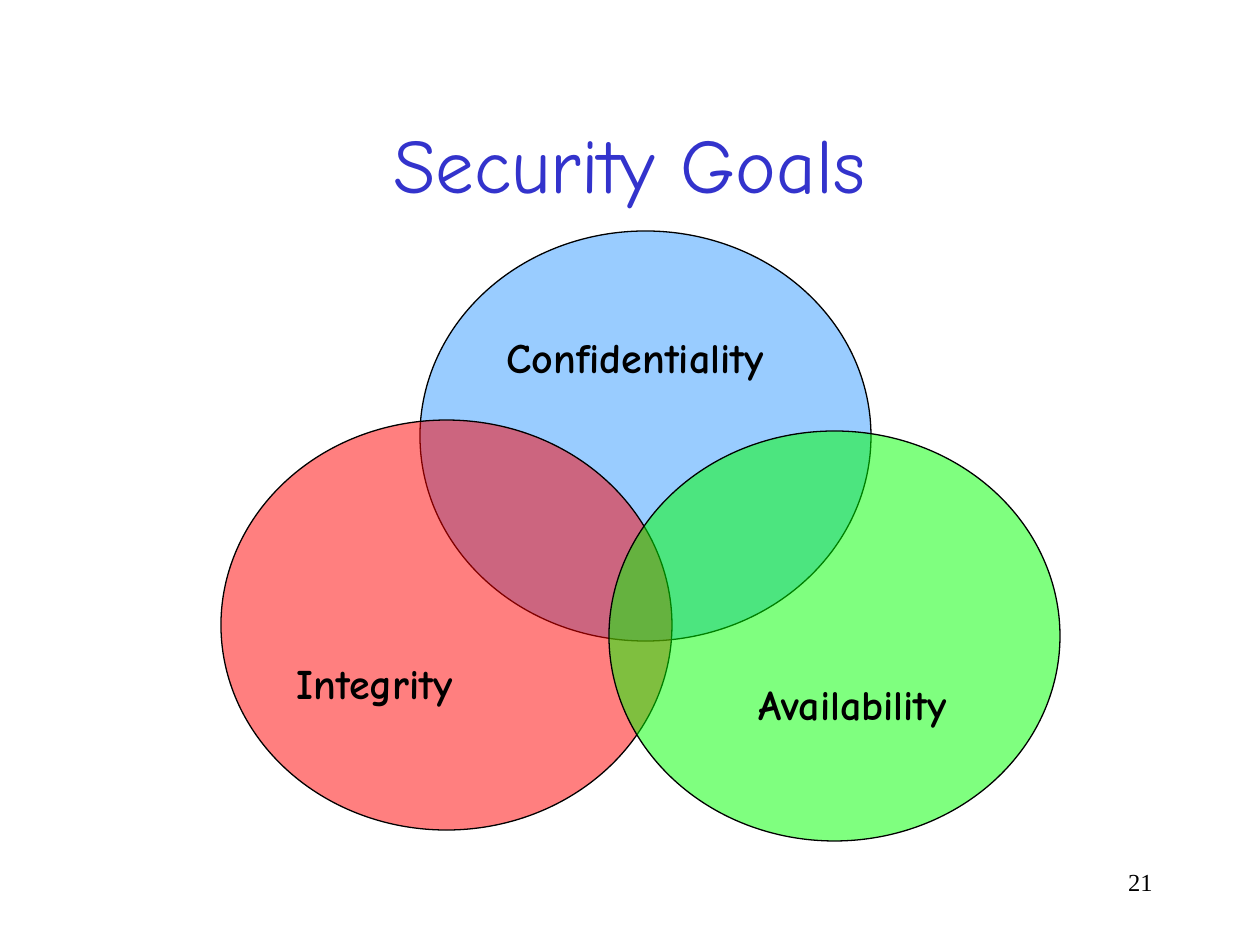
from dataclasses import dataclass

from lxml.etree import SubElement
from pptx import Presentation
from pptx.dml.color import RGBColor
from pptx.enum.shapes import MSO_SHAPE
from pptx.enum.text import MSO_ANCHOR, MSO_AUTO_SIZE, PP_ALIGN
from pptx.oxml.ns import qn
from pptx.util import Emu, Pt

PX_PER_INCH = 126
CIRCLE_SIZE = (451, 410)


@dataclass(frozen=True)
class Theme:
    ink: str = "000000"
    title: str = "3333CC"
    confidentiality: str = "99CCFF"
    integrity: str = "FF0000"
    availability: str = "00FF00"
    heading_font: str = "Comic Neue"
    number_font: str = "Times New Roman"
    title_size: int = 44
    label_size: int = 24
    number_size: int = 14
    outline_width: float = 0.75


THEME = Theme()


def px(length):
    return Emu(round(length * 914400 / PX_PER_INCH))


def set_values(target, values):
    for name, value in values.items():
        setattr(target, name, value)


def add_text(slide, text, box, font, color, frame_format=None, paragraph_format=None):
    """Add one line of text; the format dicts hold attribute values."""
    frame = slide.shapes.add_textbox(*map(px, box)).text_frame
    set_values(frame, {"word_wrap": True, **(frame_format or {})})
    paragraph = frame.paragraphs[0]
    set_values(paragraph, paragraph_format or {})
    run = paragraph.add_run()
    run.text = text
    set_values(run.font, font)
    run.font.color.rgb = RGBColor.from_string(color)


def add_circle(slide, left, top, color, opacity=100):
    """Add one Venn circle; opacity is in percent."""
    circle = slide.shapes.add_shape(
        MSO_SHAPE.OVAL, *map(px, (left, top, *CIRCLE_SIZE)))
    circle.shadow.inherit = False
    circle.fill.solid()
    circle.fill.fore_color.rgb = RGBColor.from_string(color)
    circle.line.color.rgb = RGBColor.from_string(THEME.ink)
    circle.line.width = Pt(THEME.outline_width)
    if opacity < 100:
        fill_color = circle.fill._xPr.find(qn("a:solidFill"))[0]
        SubElement(fill_color, qn("a:alpha"), val=str(opacity * 1000))


def add_label(slide, text, left, top, width):
    add_text(
        slide, text, (left, top, width, 63),
        {"name": THEME.heading_font, "size": Pt(THEME.label_size), "bold": True},
        THEME.ink,
        {"auto_size": MSO_AUTO_SIZE.SHAPE_TO_FIT_TEXT},
        {"space_before": Pt(15)})


def main():
    presentation = Presentation()
    presentation.slide_width = px(1260)
    presentation.slide_height = px(945)
    slide = presentation.slides.add_slide(presentation.slide_layouts[6])

    add_text(
        slide, "21", (903, 861, 262, 63),
        {"name": THEME.number_font, "size": Pt(THEME.number_size)},
        THEME.ink, paragraph_format={"alignment": PP_ALIGN.RIGHT})
    add_text(
        slide, "Security Goals", (94, 84, 1071, 158),
        {"name": THEME.heading_font, "size": Pt(THEME.title_size)},
        THEME.title,
        {"vertical_anchor": MSO_ANCHOR.MIDDLE},
        {"alignment": PP_ALIGN.CENTER})

    add_circle(slide, 420, 231, THEME.confidentiality)
    add_circle(slide, 221, 420, THEME.integrity, opacity=50)
    add_circle(slide, 609, 431, THEME.availability, opacity=50)

    add_label(slide, "Integrity", 284, 651, 273)
    add_label(slide, "Confidentiality", 494, 325, 336)
    add_label(slide, "Availability", 746, 672, 284)

    presentation.save("out.pptx")


if __name__ == "__main__":
    main()
